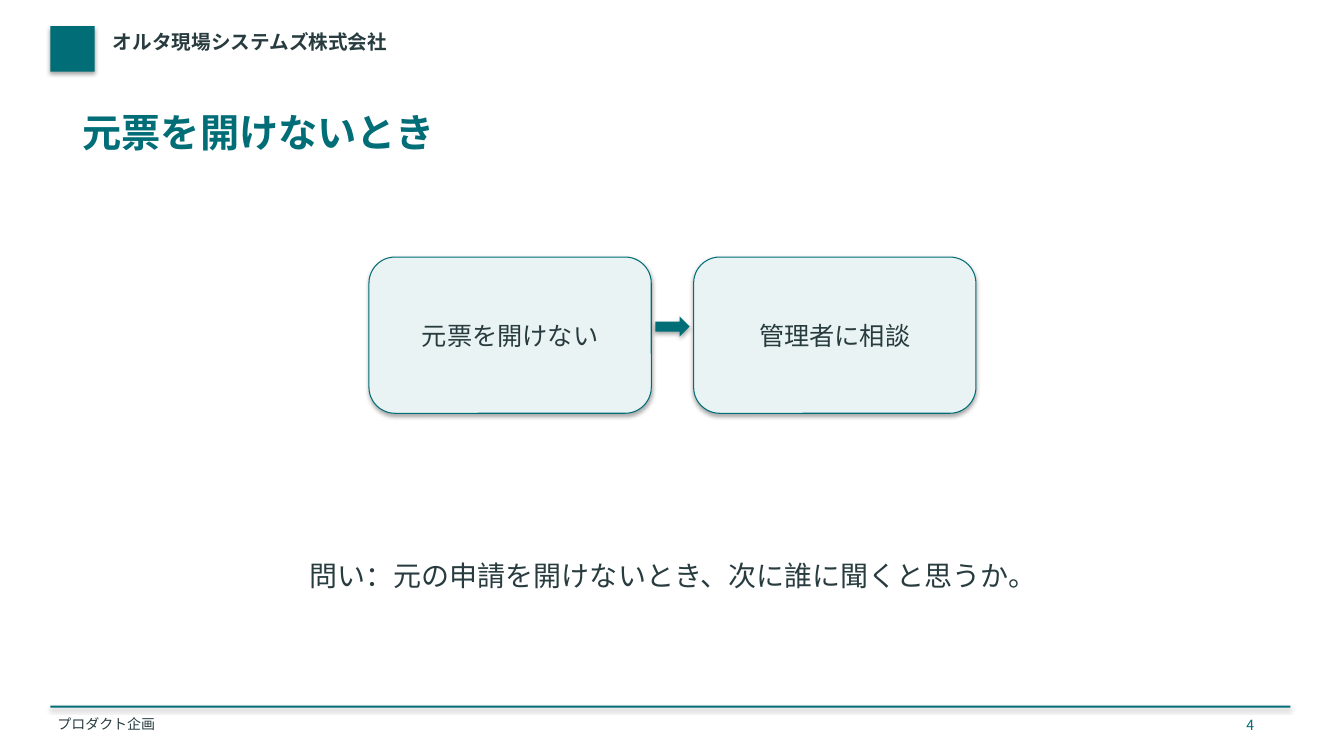
from dataclasses import dataclass

import lxml.etree
import pptx
import pptx.dml.color
import pptx.enum.shapes
import pptx.enum.text
import pptx.oxml.ns
import pptx.util

SHAPE = pptx.enum.shapes.MSO_SHAPE
ALIGN = pptx.enum.text.PP_ALIGN
ANCHOR = pptx.enum.text.MSO_ANCHOR
EMU_PER_PX = 9144  # 100 px to the inch


@dataclass(frozen=True)
class Theme:
    font: str = "Noto Sans CJK JP"
    teal: str = "006D77"
    ink: str = "283C40"
    pale: str = "EAF3F3"
    title: int = 28
    question: int = 20
    step: int = 18
    brand: int = 14
    small: int = 10


THEME = Theme()
TIGHT = (2, 2)
ROOMY = (12, 5)


def px(length):
    return pptx.util.Emu(length * EMU_PER_PX)


def rgb(value):
    return pptx.dml.color.RGBColor.from_string(value)


def write(shape, text, *, size, color=THEME.ink, bold=False,
          align=ALIGN.LEFT, anchor=ANCHOR.TOP, insets=TIGHT):
    """Fill a shape with one formatted paragraph."""
    frame = shape.text_frame
    frame.word_wrap = True
    frame.auto_size = pptx.enum.text.MSO_AUTO_SIZE.NONE
    frame.vertical_anchor = anchor
    frame.margin_left = frame.margin_right = px(insets[0])
    frame.margin_top = frame.margin_bottom = px(insets[1])
    para = frame.paragraphs[0]
    para.alignment = align
    span = para.add_run()
    span.text = text
    span.font.size = pptx.util.Pt(size)
    span.font.bold = bold
    span.font.color.rgb = rgb(color)
    span.font.name = THEME.font
    # Japanese glyphs take the East Asian typeface
    east_asian = lxml.etree.SubElement(span.font._element, pptx.oxml.ns.qn("a:ea"))
    east_asian.set("typeface", THEME.font)


def add_text(page, area, text, **text_format):
    box = page.shapes.add_textbox(*map(px, area))
    write(box, text, **text_format)


def add_block(page, kind, area, fill=THEME.teal, line=None):
    """Add a filled shape that keeps the soft theme shadow."""
    block = page.shapes.add_shape(kind, *map(px, area))
    block.fill.solid()
    block.fill.fore_color.rgb = rgb(fill)
    if line:
        block.line.color.rgb = rgb(line)
        block.line.width = pptx.util.Pt(0.75)
    else:
        block.line.fill.background()
    return block


def add_title(page, text):
    title = page.shapes.title
    title.left, title.top, title.width, title.height = map(px, (80, 105, 1170, 75))
    write(title, text, size=THEME.title, color=THEME.teal, bold=True)


def add_flow(page, steps):
    """Lay out equal step boxes with an arrow in each gap."""
    left, top, width, height, gap = 366, 255, 280, 155, 42
    for index, step in enumerate(steps):
        x = left + index * (width + gap)
        if index:
            add_block(page, SHAPE.RIGHT_ARROW, (x - gap + 4, 314, gap - 8, 20))
        box = add_block(page, SHAPE.ROUNDED_RECTANGLE, (x, top, width, height),
                        fill=THEME.pale, line=THEME.teal)
        write(box, step, size=THEME.step, align=ALIGN.CENTER,
              anchor=ANCHOR.MIDDLE, insets=ROOMY)


def main():
    deck = pptx.Presentation()
    deck.slide_width, deck.slide_height = px(1333), px(750)
    page = deck.slides.add_slide(deck.slide_layouts.get_by_name("Title Only"))

    # Header
    add_block(page, SHAPE.RECTANGLE, (50, 26, 44, 45))
    add_text(page, (110, 28, 1000, 40), "オルタ現場システムズ株式会社",
             size=THEME.brand, bold=True)

    # Content
    add_title(page, "元票を開けないとき")
    add_flow(page, ["元票を開けない", "管理者に相談"])
    centred = dict(align=ALIGN.CENTER, anchor=ANCHOR.MIDDLE, insets=ROOMY)
    add_text(page, (95, 528, 1145, 85),
             "問い：元の申請を開けないとき、次に誰に聞くと思うか。",
             size=THEME.question, **centred)

    # Footer
    add_block(page, SHAPE.RECTANGLE, (50, 700, 1230, 2))
    add_text(page, (55, 708, 900, 22), "プロダクト企画", size=THEME.small)
    add_text(page, (1215, 708, 50, 22), "4", size=THEME.small,
             color=THEME.teal, **centred)

    deck.save("out.pptx")


if __name__ == "__main__":
    main()
